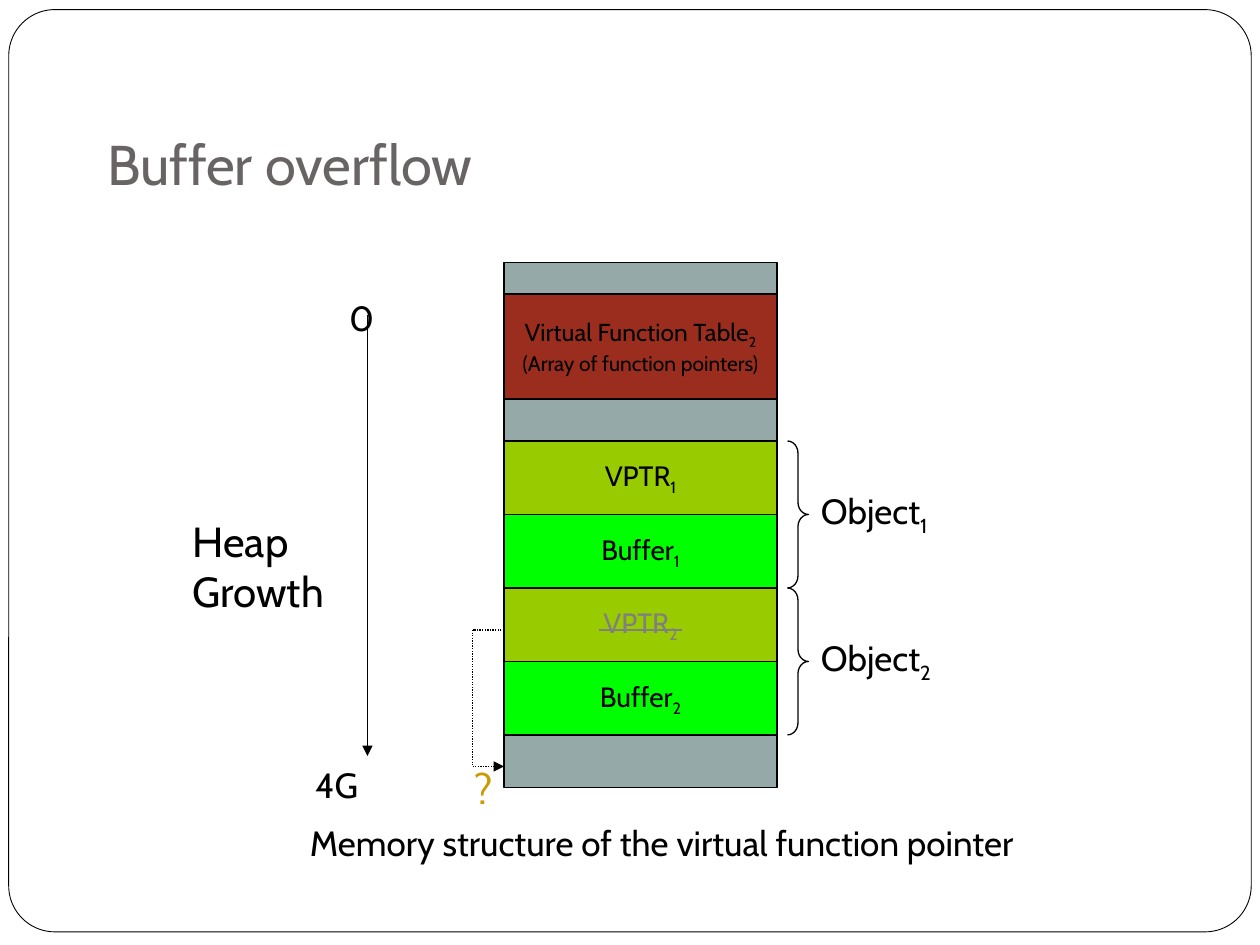
from dataclasses import dataclass
from itertools import pairwise

from lxml import etree
from pptx import Presentation
from pptx.dml.color import RGBColor
from pptx.enum.dml import MSO_LINE
from pptx.enum.shapes import MSO_CONNECTOR, MSO_SHAPE
from pptx.enum.text import MSO_ANCHOR, PP_ALIGN
from pptx.oxml.ns import qn
from pptx.util import Pt

STRAIGHT = MSO_CONNECTOR.STRAIGHT
RECTANGLE = MSO_SHAPE.RECTANGLE
ROUNDED = MSO_SHAPE.ROUNDED_RECTANGLE
BRACE = MSO_SHAPE.RIGHT_BRACE
DOTTED = MSO_LINE.ROUND_DOT
TOP, MIDDLE, BOTTOM = MSO_ANCHOR.TOP, MSO_ANCHOR.MIDDLE, MSO_ANCHOR.BOTTOM
LEFT, CENTER = PP_ALIGN.LEFT, PP_ALIGN.CENTER


@dataclass(frozen=True)
class Theme:
    """Colours, font and type sizes of the slide."""

    font: str = "Cabin"
    black: str = "000000"
    white: str = "FFFFFF"
    heading: str = "696464"
    memory: str = "96A9A9"
    table: str = "9B2D1F"
    pointer: str = "99CC00"
    buffer: str = "00FF00"
    struck: str = "808080"
    question: str = "CC9900"
    title_size: int = 32
    large_size: int = 24
    label_size: int = 20
    cell_size: int = 16
    table_size: int = 14
    note_size: int = 12


THEME = Theme()
COLUMN_LEFT, COLUMN_WIDTH = 288, 156
CELLS_TOP, CELL_HEIGHT = 252, 42


def rgb(value):
    """Turn a hex string into a colour."""
    return RGBColor.from_string(value)


def write(shape, lines, color=THEME.black, align=LEFT, anchor=TOP):
    """Fill a shape with lines given as (text, subscript, size)."""
    frame = shape.text_frame
    frame.word_wrap = True
    frame.vertical_anchor = anchor
    frame.text = "\n".join(text for text, _, _ in lines)
    for para, (_, subscript, size) in zip(frame.paragraphs, lines):
        para.alignment = align
        if subscript:
            span = para.add_run()
            span.text = subscript
            span._r.get_or_add_rPr().set("baseline", "-25000")
        for span in para.runs:
            span.font.name = THEME.font
            span.font.size = Pt(size)
            span.font.color.rgb = rgb(color)


def add_title(page, text):
    """Place and format the title placeholder."""
    title = page.shapes.title
    title.left, title.top, title.width, title.height = Pt(54), Pt(26), Pt(613.5), Pt(90)
    write(title, [(text, "", THEME.title_size)], THEME.heading, anchor=BOTTOM)


def add_outlined(page, kind, left, top, width, height, fill=None, weight=0.75):
    """Add a black-outlined preset shape."""
    shape = page.shapes.add_shape(kind, Pt(left), Pt(top), Pt(width), Pt(height))
    shape.shadow.inherit = False
    if fill:
        shape.fill.solid()
        shape.fill.fore_color.rgb = rgb(fill)
    else:
        shape.fill.background()
    shape.line.color.rgb = rgb(THEME.black)
    shape.line.width = Pt(weight)
    return shape


def add_frame(page):
    """Add the rounded slide border behind everything else."""
    frame = add_outlined(page, ROUNDED, 5, 5.5, 710, 527, THEME.white, 0.5)
    frame.adjustments[0] = 0.05
    page.shapes._spTree.insert(2, frame._element)


def add_cell(page, top, height, fill, lines=(), color=THEME.black):
    """Add one block of the memory column."""
    cell = add_outlined(page, RECTANGLE, COLUMN_LEFT, top, COLUMN_WIDTH, height, fill)
    if lines:
        write(cell, lines, color, CENTER, MIDDLE)


def add_brace(page, top):
    """Add a brace spanning two memory cells."""
    brace = add_outlined(page, BRACE, 450, top, 12, 2 * CELL_HEIGHT)
    brace.adjustments[0] = 0.58


def add_label(page, left, top, width, height, lines, color=THEME.black):
    """Add a free-standing text label."""
    box = page.shapes.add_textbox(Pt(left), Pt(top), Pt(width), Pt(height))
    write(box, lines, color)


def add_line(page, start, end, color=THEME.black, dash=None, arrow=False):
    """Add a straight line, optionally dotted or ending in an arrowhead."""
    line = page.shapes.add_connector(STRAIGHT, *map(Pt, start + end))
    line.line.color.rgb = rgb(color)
    line.line.width = Pt(0.75)
    if dash:
        line.line.dash_style = dash
    if arrow:
        etree.SubElement(line.line._get_or_add_ln(), qn("a:tailEnd"), type="triangle")
    etree.SubElement(line._element.spPr, qn("a:effectLst"))


def add_objects(page):
    """Add the two objects, each a pointer and a buffer with a brace."""
    for index, vptr_color in enumerate((THEME.black, THEME.struck)):
        number = str(index + 1)
        top = CELLS_TOP + 2 * CELL_HEIGHT * index
        add_cell(page, top, CELL_HEIGHT, THEME.pointer,
                 [("VPTR", number, THEME.cell_size)], vptr_color)
        add_cell(page, top + CELL_HEIGHT, CELL_HEIGHT, THEME.buffer,
                 [("Buffer", number, THEME.cell_size)])
        add_brace(page, top)
        add_label(page, 462, top + 24, 90, 34, [("Object", number, THEME.label_size)])


def add_dangling_pointer(page):
    """Strike out the second pointer and route it to unknown memory."""
    add_line(page, (342, 360), (390, 360), THEME.struck)
    route = [(COLUMN_LEFT, 360), (270, 360), (270, 438), (COLUMN_LEFT, 438)]
    for start, end in pairwise(route):
        add_line(page, start, end, dash=DOTTED, arrow=end == route[-1])
    add_label(page, 264, 432, 30, 36, [("?", "", THEME.large_size)], THEME.question)


def main():
    """Build the slide and save it."""
    deck = Presentation()
    deck.slide_width, deck.slide_height = Pt(720), Pt(540)
    page = deck.slides.add_slide(deck.slide_layouts[5])
    add_frame(page)
    add_title(page, "Buffer overflow")
    add_cell(page, 150, 300, THEME.memory)
    add_cell(page, 168, 60, THEME.table, [
        ("Virtual Function Table", "2", THEME.table_size),
        ("(Array of function pointers)", "", THEME.note_size),
    ])
    add_objects(page)
    add_dangling_pointer(page)
    add_line(page, (210, 180), (210, 432), arrow=True)
    add_label(page, 192.5, 166, 31, 32, [("0", "", THEME.label_size)])
    add_label(page, 173, 433, 60, 32, [("4G", "", THEME.label_size)])
    add_label(page, 103, 291, 98.5, 65, [
        ("Heap", "", THEME.large_size),
        ("Growth", "", THEME.large_size),
    ])
    add_label(page, 170, 466, 467, 32, [
        ("Memory structure of the virtual function pointer", "", THEME.label_size),
    ])
    deck.save("out.pptx")


if __name__ == "__main__":
    main()
